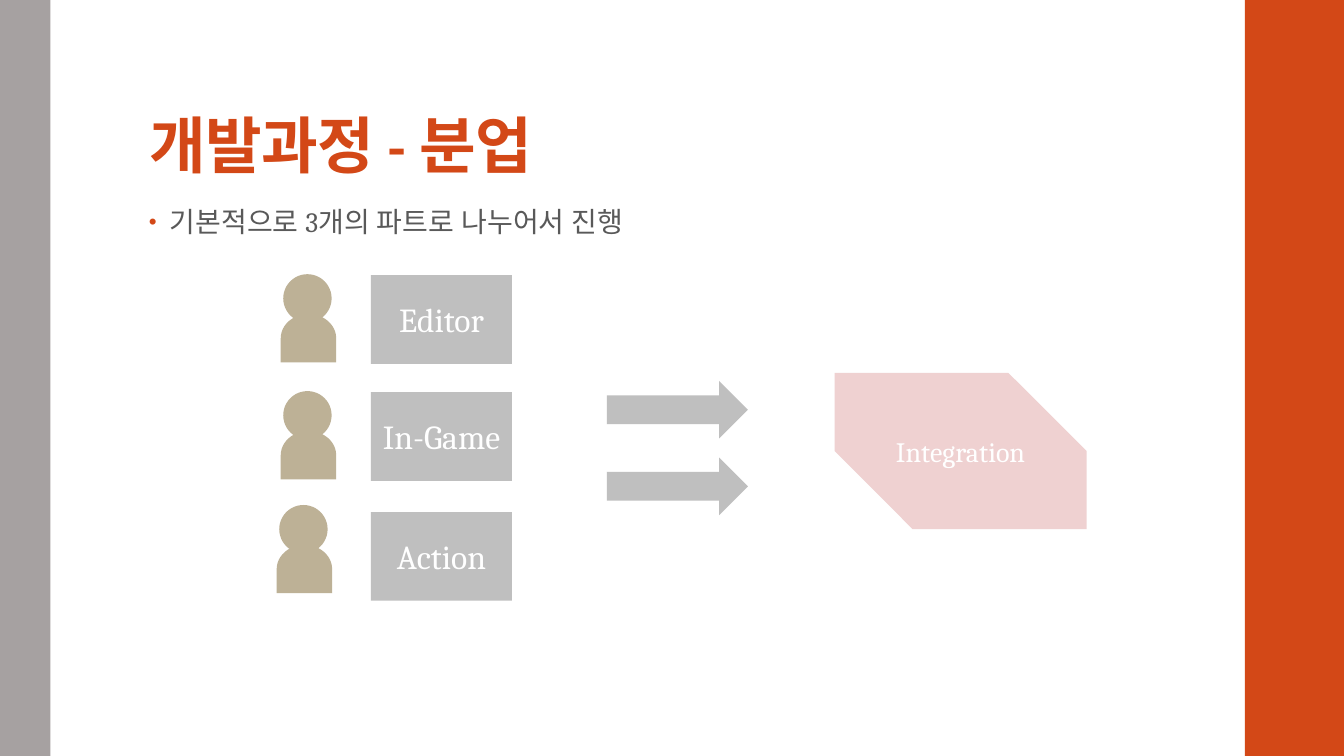
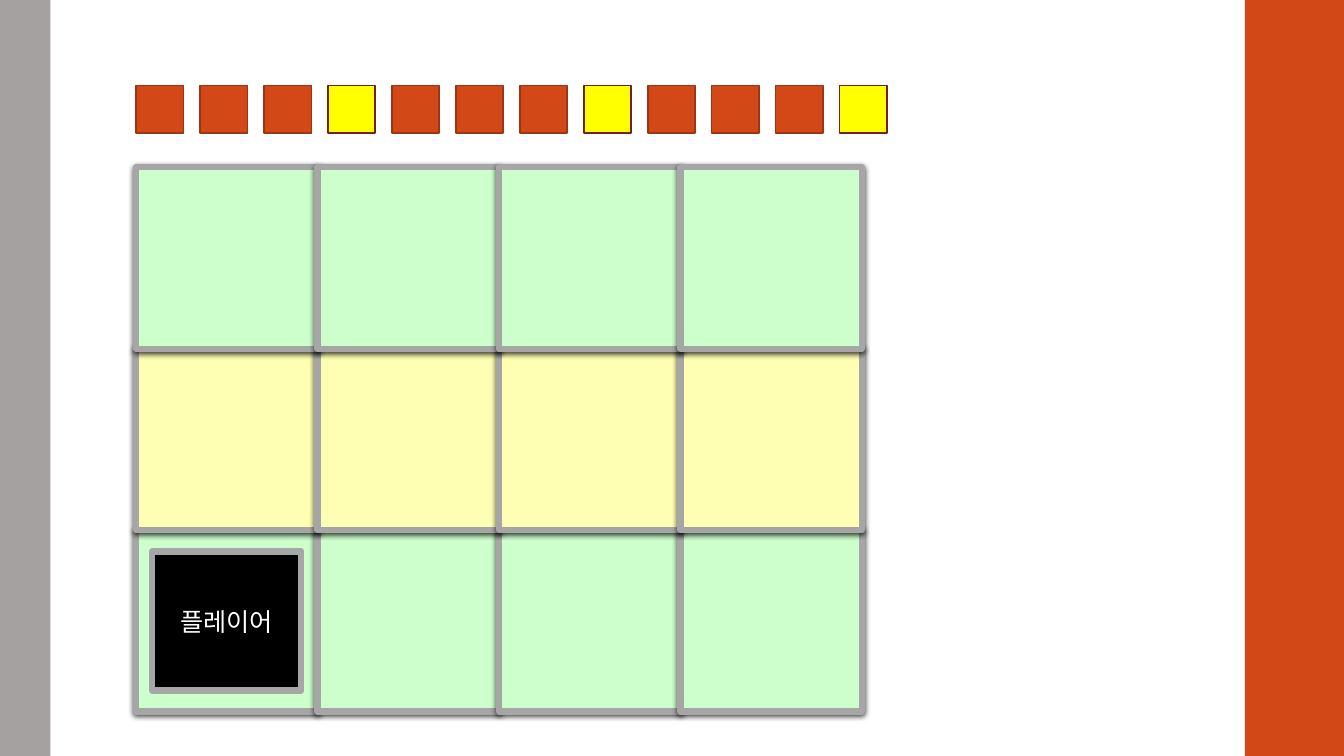
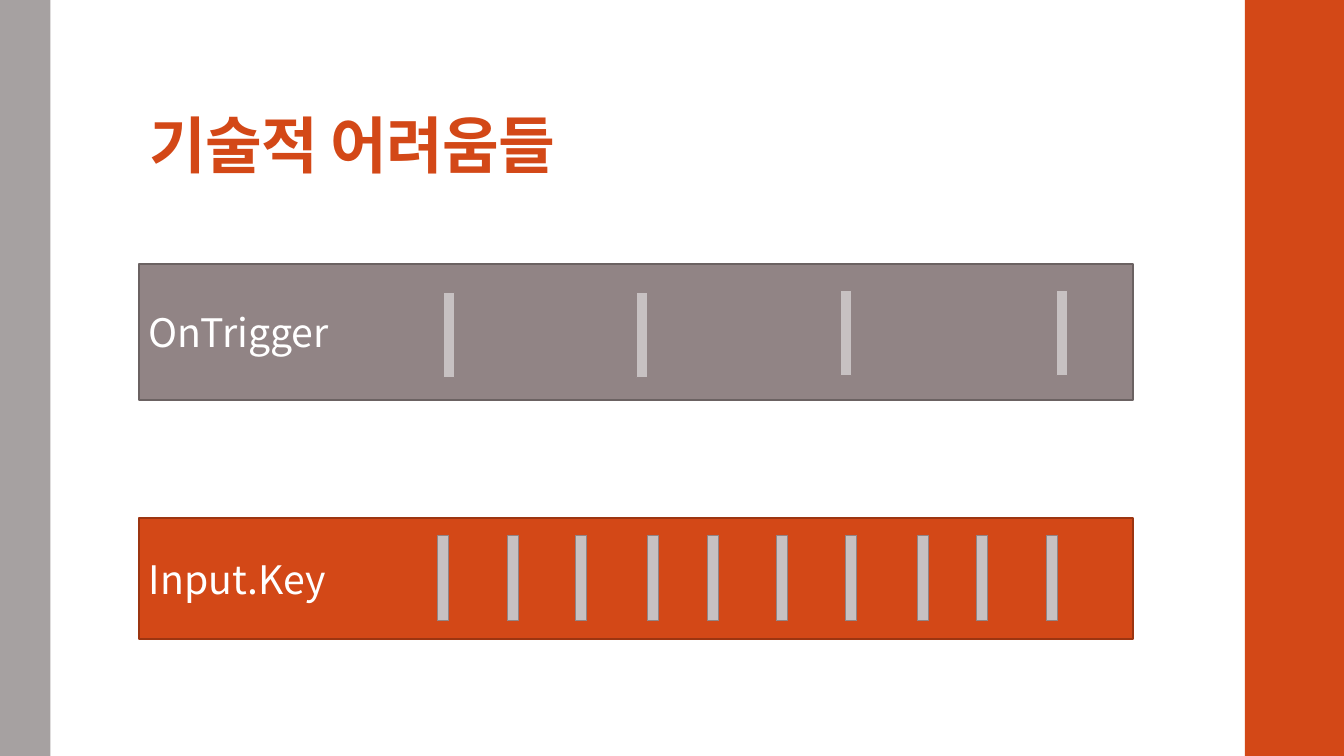
import pptx
import pptx.util
import pptx.dml.color
import pptx.enum.shapes
import pptx.enum.text
import pptx.oxml
import pptx.oxml.ns

COLORS = {
    "orange": "D34817", "orange line": "9C3511", "band gray": "A6A1A1",
    "text": "595959", "white": "FFFFFF", "black": "000000",
    "person": "BDB196", "part": "BFBFBF", "integration": "EFD1D1",
    "green": "CCFFCC", "pale yellow": "FFFFB3", "tile line": "A6A6A6",
    "yellow": "FFFF00", "yellow line": "732117",
    "taupe": "918485", "taupe line": "6B6262", "tick": "C7C1C2",
}
SERIF = "Cambria"
SANS = "Noto Sans CJK KR"
CELL = pptx.util.Inches(0.1)  # side of one square of the layout grid
COLUMNS, ROWS = 133.33, 75

SHAPE = pptx.enum.shapes.MSO_SHAPE
ALIGN = pptx.enum.text.PP_ALIGN
ANCHOR = pptx.enum.text.MSO_ANCHOR


def add_box(shapes, kind, column, row, width, height, fill, line=None, points=1.1):
    """Add a preset shape, measured in grid cells, without shadow."""
    box = shapes.add_shape(kind, *(round(n * CELL) for n in (column, row, width, height)))
    box.shadow.inherit = False
    box.fill.solid()
    box.fill.fore_color.rgb = pptx.dml.color.RGBColor.from_string(COLORS[fill])
    if line:
        box.line.color.rgb = pptx.dml.color.RGBColor.from_string(COLORS[line])
        box.line.width = pptx.util.Pt(points)
    else:
        box.line.fill.background()
    return box


def add_span(box, text, size, color="white", font=SERIF, align=ALIGN.CENTER, spacing=0):
    """Write one run into the first paragraph; spacing is in 1/100 point."""
    para = box.text_frame.paragraphs[0]
    para.alignment = align
    span = para.add_run()
    span.text = text
    span.font.size = pptx.util.Pt(size)
    span.font.name = font
    span.font.color.rgb = pptx.dml.color.RGBColor.from_string(COLORS[color])
    properties = span.font._element
    properties.set("spc", str(spacing))
    properties.append(pptx.oxml.parse_xml(
        f'<a:ea {pptx.oxml.ns.nsdecls("a")} typeface="{SANS}"/>'))
    return span


deck = pptx.Presentation()
deck.slide_width = round(COLUMNS * CELL)
deck.slide_height = ROWS * CELL
title_only, blank = deck.slide_layouts[5], deck.slide_layouts[6]

work_page = deck.slides.add_slide(title_only)
board_page = deck.slides.add_slide(blank)
problem_page = deck.slides.add_slide(title_only)

# Side bands, moved to the master so that every slide shows them
bands = [(0, 5, "band gray"), (123.5, COLUMNS - 123.5, "orange")]
for number, (column, width, color) in enumerate(bands):
    band = add_box(work_page.shapes, SHAPE.RECTANGLE, column, 0, width, ROWS, color)
    band.element.nvSpPr.cNvPr.id = 100 + number
    deck.slide_master.shapes.element.insert(2 + number, band.element)

# Titles
for page, text in ((work_page, "개발과정 - 분업"), (problem_page, "기술적 어려움들")):
    title = page.shapes.title
    title.left, title.top, title.width, title.height = (
        round(n * CELL) for n in (13.8, 3.2, 106, 15.3))
    frame = title.text_frame
    frame.auto_size = pptx.enum.text.MSO_AUTO_SIZE.NONE
    frame.word_wrap = True
    frame.vertical_anchor = ANCHOR.BOTTOM
    frame.margin_left = frame.margin_right = pptx.util.Inches(0.1)
    frame.margin_top = pptx.util.Inches(0.03)
    frame.margin_bottom = pptx.util.Inches(0.05)
    frame.paragraphs[0].line_spacing = 0.9
    add_span(title, text, 44, "orange", align=ALIGN.LEFT, spacing=-50).font.bold = True

# Slide 1: division of work
body = work_page.shapes.add_textbox(*(round(n * CELL) for n in (13.8, 20, 94, 47.6)))
body.text_frame.word_wrap = True
para = body.text_frame.paragraphs[0]
para.line_spacing = 0.95
para.space_after = pptx.util.Pt(2)
bullet = para._p.get_or_add_pPr()
bullet.set("marL", str(2 * CELL))
bullet.set("indent", str(-2 * CELL))
for tag in (f'buClr {pptx.oxml.ns.nsdecls("a")}><a:srgbClr val="{COLORS["orange"]}"/></a:buClr',
            f'buSzPct {pptx.oxml.ns.nsdecls("a")} val="80000"/',
            f'buFont {pptx.oxml.ns.nsdecls("a")} typeface="Arial"/',
            f'buChar {pptx.oxml.ns.nsdecls("a")} char="•"/'):
    bullet.append(pptx.oxml.parse_xml(f"<a:{tag}>"))
add_span(body, "기본적으로 3개의 파트로 나누어서 진행", 20, "text", align=ALIGN.LEFT, spacing=10)

parts = [("Editor", 27.3, 28.1, 27.2), ("In-Game", 38.9, 28.1, 38.8), ("Action", 50.8, 27.7, 50.1)]
for name, part_row, person_column, person_row in parts:
    person = work_page.shapes.add_group_shape().shapes
    add_box(person, SHAPE.OVAL, person_column, person_row, 4.8, 4.8, "person")
    torso = add_box(person, SHAPE.FLOWCHART_DELAY, person_column + 0.1, person_row + 3.6,
                    4.8, 5.5, "person")
    torso.rotation = 270
    part = add_box(work_page.shapes, SHAPE.RECTANGLE, 36.8, part_row, 14, 8.8, "part")
    add_span(part, name, 24)

integration = add_box(work_page.shapes, SHAPE.SNIP_2_DIAG_RECTANGLE,
                      82.8, 37, 25, 15.5, "integration")
integration.adjustments[0], integration.adjustments[1] = 0, 0.5
add_span(integration, "Integration", 20)
for row in (37.8, 45.4):
    add_box(work_page.shapes, SHAPE.RIGHT_ARROW, 60.2, row, 14, 5.7, "part")

# Slide 2: game board, laid from the bottom row up
BOARD_LEFT, BOARD_TOP, TILE = 13.5, 16.6, 18
for board_row, color in ((2, "green"), (1, "pale yellow"), (0, "green")):
    for board_column in range(4):
        tile = add_box(board_page.shapes, SHAPE.RECTANGLE, BOARD_LEFT + board_column * TILE,
                       BOARD_TOP + board_row * TILE, TILE, TILE, color, "tile line", 4.5)
        effects = tile.element.spPr.find(pptx.oxml.ns.qn("a:effectLst"))
        effects.append(pptx.oxml.parse_xml(
            f'<a:outerShdw {pptx.oxml.ns.nsdecls("a")} blurRad="50800" dist="15240" '
            'dir="5400000" rotWithShape="0"><a:srgbClr val="000000">'
            '<a:alpha val="75000"/></a:srgbClr></a:outerShdw>'))
player = add_box(board_page.shapes, SHAPE.RECTANGLE, 15.1, 54.7, 14.8, 13.8,
                 "black", "tile line", 4.5)
add_span(player, "플레이어", 18)

BEATS = 12
beat_step = (83.3 - BOARD_LEFT) / (BEATS - 1)
for beat in range(BEATS):
    color = "yellow" if beat % 4 == 3 else "orange"
    add_box(board_page.shapes, SHAPE.RECTANGLE, BOARD_LEFT + beat * beat_step, 8.5,
            4.7, 4.7, color, color + " line")

# Slide 3: two timelines with event ticks
timelines = [
    ("OnTrigger", 26.2, 13.5, "taupe",
     [(44, 29), (63.1, 29), (83.4, 28.8), (104.8, 28.8)]),
    ("Input.Key", 51.4, 12, "orange",
     [(column, 53.1) for column in (43.4, 50.3, 57.1, 64.2, 70.2, 77, 83.9, 91, 96.9, 103.8)]),
]
for name, row, height, color, ticks in timelines:
    timeline = add_box(problem_page.shapes, SHAPE.RECTANGLE, 13.8, row, 98.6, height,
                       color, color + " line")
    add_span(timeline, name, 28, font=SANS, align=ALIGN.LEFT)
    for tick_column, tick_row in ticks:
        add_box(problem_page.shapes, SHAPE.RECTANGLE, tick_column, tick_row, 1.1, 8.5,
                "tick", "taupe", 0.75)

deck.save("out.pptx")
